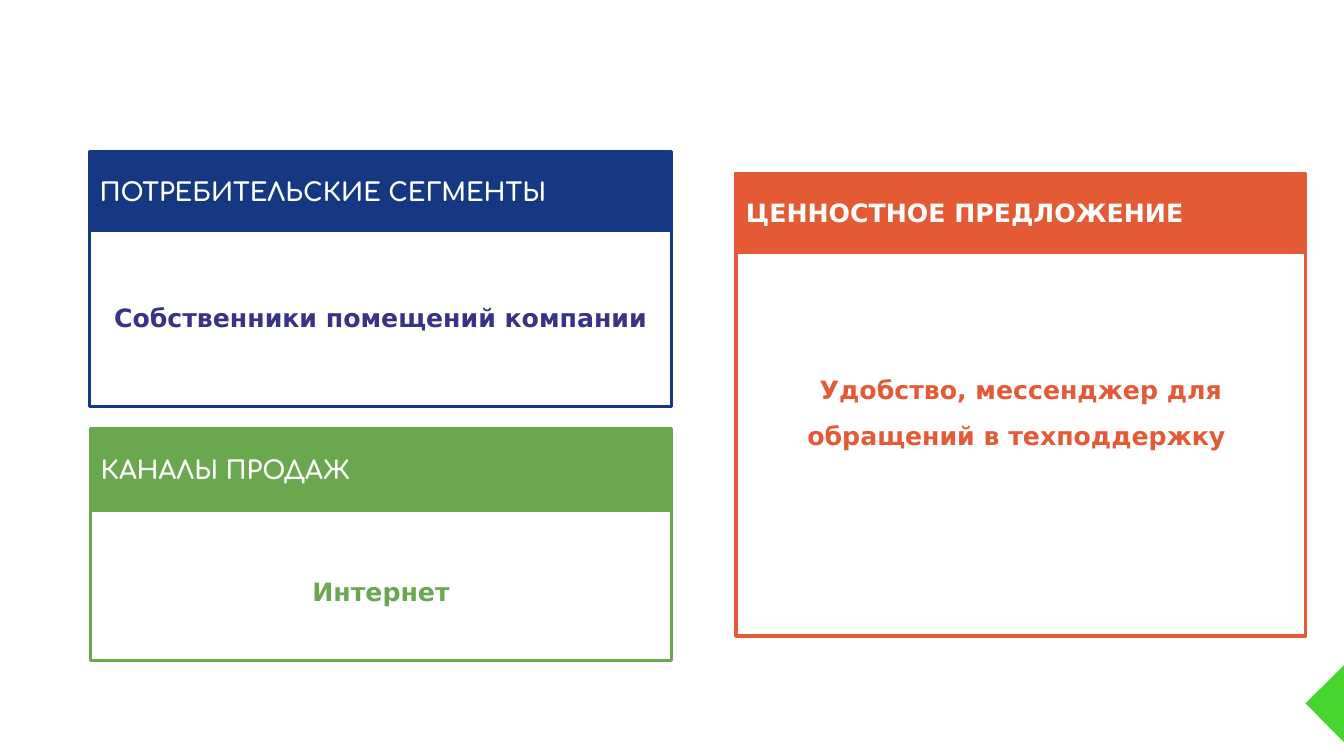
from pptx import Presentation
from pptx.dml.color import RGBColor
from pptx.enum.shapes import MSO_SHAPE as Shape
from pptx.enum.text import MSO_ANCHOR as Anchor, PP_ALIGN as Align
from pptx.util import Inches, Pt

WHITE = "FFFFFF"
CORNER_GREEN = "44D62C"

# Cards: heading, heading font, statement, card colour, statement colour,
# left, width, (heading top, height), (body top, height)
CARDS = [
    ("ПОТРЕБИТЕЛЬСКИЕ СЕГМЕНТЫ", "Comfortaa", "Собственники помещений компании",
     "163882", "383288", 0.89, 5.77, (1.5, 0.79), (2.12, 1.91)),
    ("ЦЕННОСТНОЕ ПРЕДЛОЖЕНИЕ", "DejaVu Sans",
     "Удобство, мессенджер для обращений в техподдержку ",
     "E35A35", "E35A35", 7.3, 5.65, (1.72, 0.78), (1.72, 4.59)),
    ("КАНАЛЫ ПРОДАЖ", "Comfortaa", "Интернет",
     "6AA84F", "6AA84F", 0.9, 5.76, (4.25, 0.81), (5.04, 1.51)),
]


def color(hex_string):
    return RGBColor.from_string(hex_string)


def add_filled(slide, kind, left, top, width, height, fill):
    shape = slide.shapes.add_shape(
        kind, Inches(left), Inches(top), Inches(width), Inches(height))
    shape.shadow.inherit = False
    shape.fill.solid()
    shape.fill.fore_color.rgb = color(fill)
    return shape


def add_panel(slide, left, top, width, height, fill, border,
              text, font_name, text_color, align, spacing):
    panel = add_filled(slide, Shape.RECTANGLE, left, top, width, height, fill)
    panel.line.color.rgb = color(border)
    panel.line.width = Pt(2.25)

    frame = panel.text_frame
    frame.word_wrap = True
    frame.vertical_anchor = Anchor.MIDDLE
    frame.margin_left = frame.margin_right = Inches(0.1)
    frame.margin_top = frame.margin_bottom = Inches(0.1)
    frame.text = text
    paragraph = frame.paragraphs[0]
    paragraph.alignment = align
    paragraph.line_spacing = spacing
    font = paragraph.runs[0].font
    font.name = font_name
    font.size = Pt(18)
    font.bold = True
    font.color.rgb = color(text_color)


def main():
    prs = Presentation()
    prs.slide_width, prs.slide_height = Inches(13.33), Inches(7.5)
    slide = prs.slides.add_slide(prs.slide_layouts[6])

    # Corner marker at the right edge
    corner = add_filled(slide, Shape.RIGHT_TRIANGLE, 13.06, 6.71, 0.54, 0.54, CORNER_GREEN)
    corner.rotation = 45.2
    corner.line.fill.background()

    # Each card: outlined body first, heading bar over it
    for (heading, heading_font, statement, card_color, statement_color,
         left, width, (bar_top, bar_height), (body_top, body_height)) in CARDS:
        add_panel(slide, left, body_top, width, body_height, WHITE, card_color,
                  statement, "DejaVu Sans", statement_color, Align.CENTER, 1.5)
        add_panel(slide, left, bar_top, width, bar_height, card_color, card_color,
                  heading, heading_font, WHITE, Align.LEFT, 1.0)

    prs.save("out.pptx")


if __name__ == "__main__":
    main()
